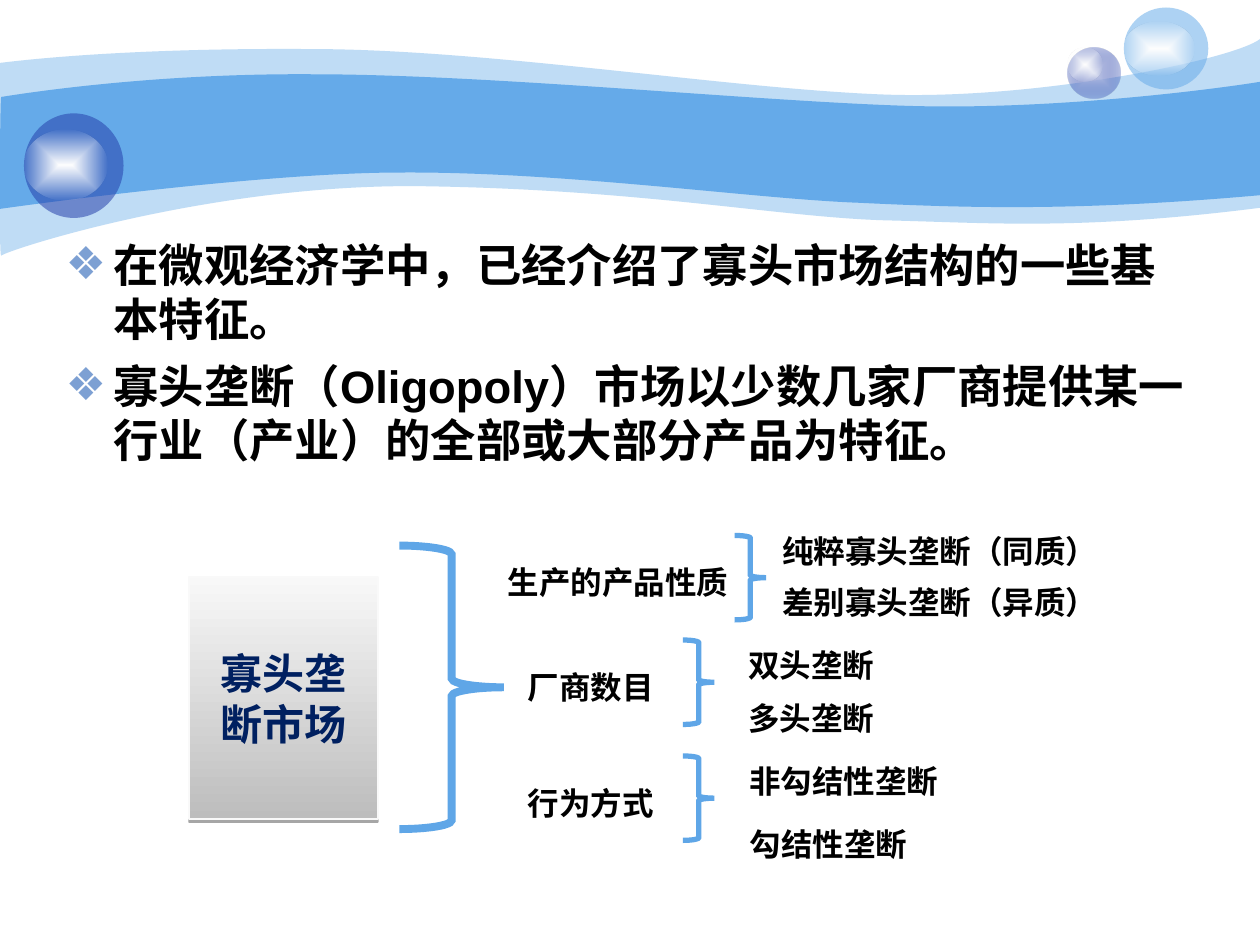
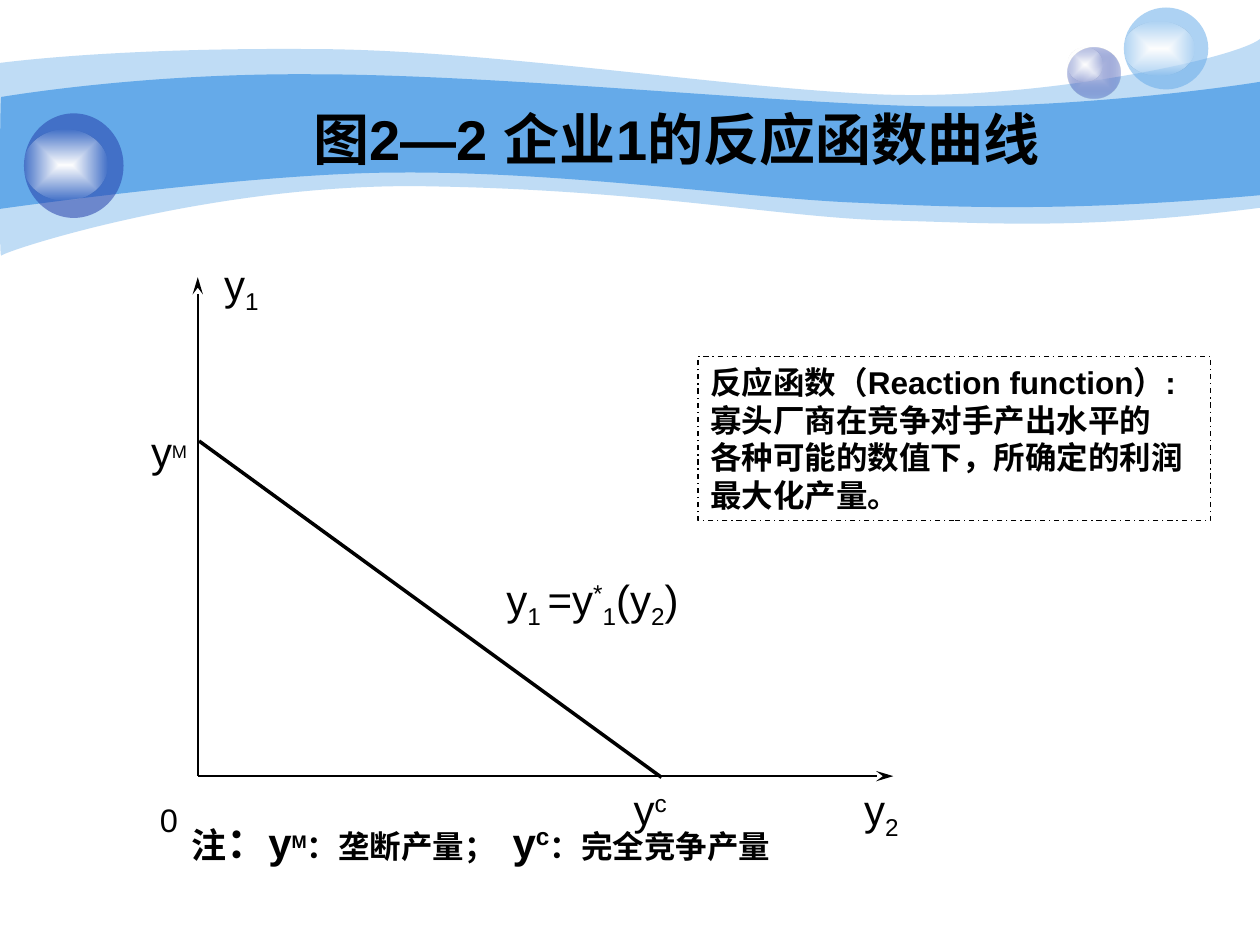
from dataclasses import dataclass

from lxml import etree
from pptx import Presentation
from pptx.dml.color import RGBColor
from pptx.enum.dml import MSO_LINE
from pptx.enum.shapes import MSO_CONNECTOR, MSO_SHAPE
from pptx.enum.text import MSO_ANCHOR, MSO_AUTO_SIZE, PP_ALIGN
from pptx.oxml import parse_xml
from pptx.oxml.ns import nsdecls, qn
from pptx.util import Inches, Pt

OVAL, RECTANGLE, BRACE = MSO_SHAPE.OVAL, MSO_SHAPE.RECTANGLE, MSO_SHAPE.RIGHT_BRACE
STRAIGHT, DASH_DOT = MSO_CONNECTOR.STRAIGHT, MSO_LINE.DASH_DOT
TOP, MIDDLE = MSO_ANCHOR.TOP, MSO_ANCHOR.MIDDLE
LEFT, CENTER = PP_ALIGN.LEFT, PP_ALIGN.CENTER
FIXED = MSO_AUTO_SIZE.NONE

LATIN, CHINESE = "Arial", "Noto Sans CJK SC"
COLORS = {
    "band": "65AAE9", "navy": "233DA9", "lilac": "C7CEE9", "white": "FFFFFF",
    "black": "000000", "bullet": "7DA0D3", "brace": "5FA6E7", "root": "002060",
    "root_dark": "BDBDBD", "root_light": "F8F8F8", "root_edge": "F9F9F9",
}
CHARACTER_WIDTH = 0.25
FIRST_ORNAMENT_ID = 100
GLOW = (("white", 100), ("white", 0))
SUB, SUPER = -25, 30


@dataclass(frozen=True)
class Area:
    left: float
    top: float
    width: float
    height: float

    def emu(self) -> tuple:
        return tuple(Inches(n) for n in (self.left, self.top, self.width, self.height))


@dataclass(frozen=True)
class Band:
    start: tuple
    segments: tuple
    alpha: int


@dataclass(frozen=True)
class Ball:
    area: Area
    color: str
    alpha: int
    glow: Area
    center: str = ""


@dataclass(frozen=True)
class Branch:
    name: str
    name_at: tuple
    brace_at: tuple
    leaf_left: float
    leaves: tuple


@dataclass(frozen=True)
class Span:
    text: str
    size: float = 24
    baseline: int = 0
    font: str = LATIN


BANDS = (
    Band((0, 0.5), (
        (0.24, 0.47, 1.07, 0.38, 2.47, 0.39), (3.86, 0.39, 5.75, 0.7, 6.99, 0.75),
        (8.22, 0.8, 9.8, 0.47, 10, 0.31), (10, 1.65),
        (8.58, 1.83, 7.87, 1.77, 7.05, 1.75), (6.22, 1.73, 5.15, 1.51, 3.43, 1.48),
        (1.72, 1.44, 0.04, 1.99, 0.01, 2.03), (-0.01, 2.08, 0, 0.75, 0, 0.5)), 41),
    Band((0.01, 0.77), (
        (0.02, 0.77, 1.1, 0.58, 2.48, 0.59), (3.86, 0.59, 5.95, 0.8, 7.18, 0.84),
        (8.41, 0.88, 9.76, 0.69, 10, 0.65), (10, 1.55),
        (8.53, 1.68, 7.65, 1.65, 6.82, 1.61), (5.99, 1.58, 4.47, 1.36, 3.17, 1.37),
        (2.03, 1.37, -0.02, 1.66, -0.01, 1.66), (0, 1.66, 0, 0.77, 0.01, 0.77)), 100),
)
BALLS = (
    Ball(Area(8.47, 0.38, 0.42, 0.4), "navy", 31, Area(8.47, 0.38, 0.28, 0.27), "lilac"),
    Ball(Area(8.92, 0.06, 0.67, 0.65), "band", 53, Area(8.92, 0.17, 0.56, 0.43)),
    Ball(Area(0.19, 0.9, 0.79, 0.83), "navy", 53, Area(0.19, 1.03, 0.66, 0.56)),
)
POINTS = (
    "在微观经济学中，已经介绍了寡头市场结构的一些基本特征。",
    "寡头垄断（Oligopoly）市场以少数几家厂商提供某一行业（产业）的全部或大部分产品为特征。",
)
BRANCHES = (
    Branch("生产的产品性质", (3.93, 4.42), (5.83, 4.25), 6.11,
           (("纯粹寡头垄断（同质）", 4.17), ("差别寡头垄断（异质）", 4.58))),
    Branch("厂商数目", (4.09, 5.25), (5.42, 5.08), 5.84,
           (("双头垄断", 5.08), ("多头垄断", 5.5))),
    Branch("行为方式", (4.09, 6.17), (5.42, 6), 5.85,
           (("非勾结性垄断", 6), ("勾结性垄断", 6.5))),
)
FORMULA = (
    Span("y"), Span("1 ", baseline=SUB), Span("=y"), Span("*", baseline=SUPER),
    Span("1", baseline=SUB), Span("(y"), Span("2", baseline=SUB), Span(")"),
)
GRAPH_LABELS = (
    (Area(1.68, 2, 0.48, 0.56), (Span("y"), Span("1", baseline=SUB))),
    (Area(1.17, 6, 0.44, 0.71), (Span("0", 32, SUB),)),
    (Area(6.76, 6.17, 0.48, 0.56), (Span("y"), Span("2", baseline=SUB))),
    (Area(4.93, 6.17, 0.47, 0.5), (Span("y"), Span("c", baseline=SUPER))),
    (Area(1.1, 3.33, 0.49, 0.5), (Span("y"), Span("M", 18, SUPER))),
    (Area(3.92, 4.5, 2.5, 0.56), FORMULA),
)
LEGEND = (
    Span("注", 20, font=CHINESE), Span("：", font=CHINESE), Span("y"), Span("M", 18, SUPER),
    Span("：垄断产量； ", 18, font=CHINESE), Span(" y"), Span("c", baseline=SUPER),
    Span("：完全竞争产量", 18, font=CHINESE),
)
DEFINITION = (
    "反应函数（Reaction function）:", "寡头厂商在竞争对手产出水平的",
    "各种可能的数值下，所确定的利润", "最大化产量。",
)


def rgb(color: str) -> RGBColor:
    return RGBColor.from_string(COLORS[color])


def fill_solid(shape, color: str, alpha: int) -> None:
    shape.fill.solid()
    shape.fill.fore_color.rgb = rgb(color)
    if alpha < 100:
        tone = shape.element.spPr.find(qn("a:solidFill"))[0]
        etree.SubElement(tone, qn("a:alpha")).set("val", str(alpha * 1000))


def fill_gradient(shape, stops: tuple, direction: str) -> None:
    marks = "".join(
        f'<a:gs pos="{place}"><a:srgbClr val="{COLORS[color]}">'
        f'<a:alpha val="{alpha * 1000}"/></a:srgbClr></a:gs>'
        for place, (color, alpha) in zip((0, 100000), stops))
    shape.fill.background()
    properties = shape.element.spPr
    properties.replace(properties.find(qn("a:noFill")), parse_xml(
        f'<a:gradFill {nsdecls("a")} rotWithShape="1"><a:gsLst>{marks}</a:gsLst>'
        f'{direction}</a:gradFill>'))


def fill_radial(shape, stops: tuple) -> None:
    fill_gradient(shape, stops, '<a:path path="rect"><a:fillToRect l="50000" t="50000" '
                                'r="50000" b="50000"/></a:path>')


def add_plain_shape(shapes, kind, area: Area):
    shape = shapes.add_shape(kind, *area.emu())
    shape.shadow.inherit = False
    shape.fill.background()
    shape.line.fill.background()
    return shape


def outline(shape, color: str, width: float) -> None:
    shape.line.color.rgb = rgb(color)
    shape.line.width = Pt(width)


def add_band(page, band: Band):
    points = [(Inches(x), Inches(y)) for segment in band.segments
              for x, y in zip(segment[::2], segment[1::2])]
    builder = page.shapes.build_freeform(*(Inches(n) for n in band.start))
    builder.add_line_segments(points, close=True)
    wave = builder.convert_to_shape()
    nodes = iter(list(wave.element.spPr.iter(qn("a:lnTo"))))
    for segment in band.segments:
        first = next(nodes)
        if len(segment) == 6:
            curve = etree.Element(qn("a:cubicBezTo"))
            first.addprevious(curve)
            for node in (first, next(nodes), next(nodes)):
                curve.append(node[0])
                node.getparent().remove(node)
    wave.shadow.inherit = False
    wave.line.fill.background()
    fill_solid(wave, "band", band.alpha)
    return wave


def add_ball(page, ball: Ball):
    group = page.shapes.add_group_shape()
    body = add_plain_shape(group.shapes, OVAL, ball.area)
    if ball.center:
        fill_radial(body, ((ball.center, 100), (ball.color, ball.alpha)))
    else:
        fill_solid(body, ball.color, ball.alpha)
    fill_radial(add_plain_shape(group.shapes, OVAL, ball.glow), GLOW)
    return group


def decorate_master(deck, page) -> None:
    ornaments = [add_band(page, band) for band in BANDS]
    ornaments += [add_ball(page, ball) for ball in BALLS]
    labels = [label for ornament in ornaments
              for label in ornament.element.iter(qn("p:cNvPr"))]
    for number, label in enumerate(labels, FIRST_ORNAMENT_ID):
        label.set("id", str(number))
    for ornament in ornaments:
        deck.slide_master.shapes.element.append(ornament.element)


def format_run(run, size: float, bold: bool, color: str = "black",
               font: str = LATIN, baseline: int = 0) -> None:
    run.font.size = Pt(size)
    run.font.bold = bold
    run.font.name = font
    run.font.color.rgb = rgb(color)
    properties = run._r.get_or_add_rPr()
    etree.SubElement(properties, qn("a:ea")).set("typeface", CHINESE)
    if baseline:
        properties.set("baseline", str(baseline * 1000))


def write(box, text: str, size: float, color: str = "black", wrap: bool = False,
          align=LEFT, anchor=TOP) -> None:
    frame = box.text_frame
    frame.text = text
    frame.word_wrap = wrap
    frame.auto_size = FIXED
    frame.vertical_anchor = anchor
    for para in frame.paragraphs:
        para.alignment = align
        for run in para.runs:
            format_run(run, size, True, color)


def place(box, area: Area) -> None:
    box.left, box.top, box.width, box.height = area.emu()


def add_term(page, text: str, left: float, top: float) -> None:
    area = Area(left, top, len(text) * CHARACTER_WIDTH + 0.2, 0.4)
    write(page.shapes.add_textbox(*area.emu()), text, 18)


def add_spans(page, area: Area, spans: tuple, bold: bool = False, wrap: bool = False) -> None:
    frame = page.shapes.add_textbox(*area.emu()).text_frame
    frame.word_wrap = wrap
    for span in spans:
        run = frame.paragraphs[0].add_run()
        run.text = span.text
        format_run(run, span.size, bold, font=span.font, baseline=span.baseline)


def add_brace(page, area: Area, width: float) -> None:
    brace = add_plain_shape(page.shapes, BRACE, area)
    outline(brace, "brace", width)
    join = etree.SubElement(brace.element.spPr.find(qn("a:ln")), qn("a:miter"))
    join.set("lim", "800000")


def add_line(page, start: tuple, end: tuple, width: float, arrow: str = "") -> None:
    line = page.shapes.add_connector(STRAIGHT, *(Inches(n) for n in start + end))
    outline(line, "black", width)
    properties = line.element.spPr
    if arrow:
        tip = etree.SubElement(properties.find(qn("a:ln")), qn(arrow))
        tip.set("type", "stealth")
        tip.set("len", "lg")
    etree.SubElement(properties, qn("a:effectLst"))


def add_bullets(body) -> None:
    place(body, Area(0.42, 1.83, 9.08, 2.17))
    write(body, "\n".join(POINTS), 25.9, wrap=True)
    for para in body.text_frame.paragraphs:
        para.line_spacing = 1.0
        para.space_before = Pt(7)
        properties = para._p.get_or_add_pPr()
        properties.set("marL", str(Inches(0.38)))
        properties.set("indent", str(-Inches(0.38)))
        tint = etree.SubElement(properties, qn("a:buClr"))
        etree.SubElement(tint, qn("a:srgbClr")).set("val", COLORS["bullet"])
        etree.SubElement(properties, qn("a:buChar")).set("char", "❖")


def add_root(page) -> None:
    root = add_plain_shape(page.shapes, RECTANGLE, Area(1.5, 4.58, 1.5, 1.92))
    fill_gradient(root, (("root_dark", 100), ("root_light", 100)),
                  '<a:lin ang="16200000" scaled="0"/>')
    outline(root, "root_edge", 0.75)
    root.element.spPr.find(qn("a:effectLst")).append(parse_xml(
        f'<a:outerShdw {nsdecls("a")} blurRad="0" dist="{Pt(1.8)}" dir="5400000" '
        f'rotWithShape="0"><a:srgbClr val="{COLORS["black"]}"><a:alpha val="35000"/>'
        f'</a:srgbClr></a:outerShdw>'))
    write(root, "寡头垄断市场", 24, "root", True, CENTER, MIDDLE)


def build_classification(page) -> None:
    title = page.shapes.title.element
    title.getparent().remove(title)
    add_bullets(page.placeholders[1])
    add_root(page)
    add_brace(page, Area(3.17, 4.33, 0.83, 2.25), 4.5)
    for branch in BRANCHES:
        add_term(page, branch.name, *branch.name_at)
        add_brace(page, Area(*branch.brace_at, 0.25, 0.67), 3)
        for leaf, top in branch.leaves:
            add_term(page, leaf, branch.leaf_left, top)


def build_reaction_curve(page) -> None:
    origin = (1.57, 6.16)
    add_line(page, (1.57, 2.2), origin, 1, "a:headEnd")
    add_line(page, origin, (7.09, 6.16), 1, "a:tailEnd")
    add_line(page, (1.58, 3.5), (5.25, 6.17), 2)
    for area, spans in GRAPH_LABELS:
        add_spans(page, area, spans)
    place(page.shapes.title, Area(2.39, 0.78, 6.39, 0.63))
    write(page.shapes.title, "图2—2 企业1的反应函数曲线", 32)
    add_spans(page, Area(1.42, 6.43, 5.44, 0.9), LEGEND, bold=True, wrap=True)
    note = add_plain_shape(page.shapes, RECTANGLE, Area(5.54, 2.83, 4.07, 1.3))
    outline(note, "black", 0.75)
    note.line.dash_style = DASH_DOT
    write(note, "\n".join(DEFINITION), 18)


def main() -> None:
    deck = Presentation()
    deck.slide_width, deck.slide_height = Inches(10), Inches(7.5)
    classification = deck.slides.add_slide(deck.slide_layouts[1])
    decorate_master(deck, classification)
    build_classification(classification)
    build_reaction_curve(deck.slides.add_slide(deck.slide_layouts[5]))
    deck.save("out.pptx")


if __name__ == "__main__":
    main()
